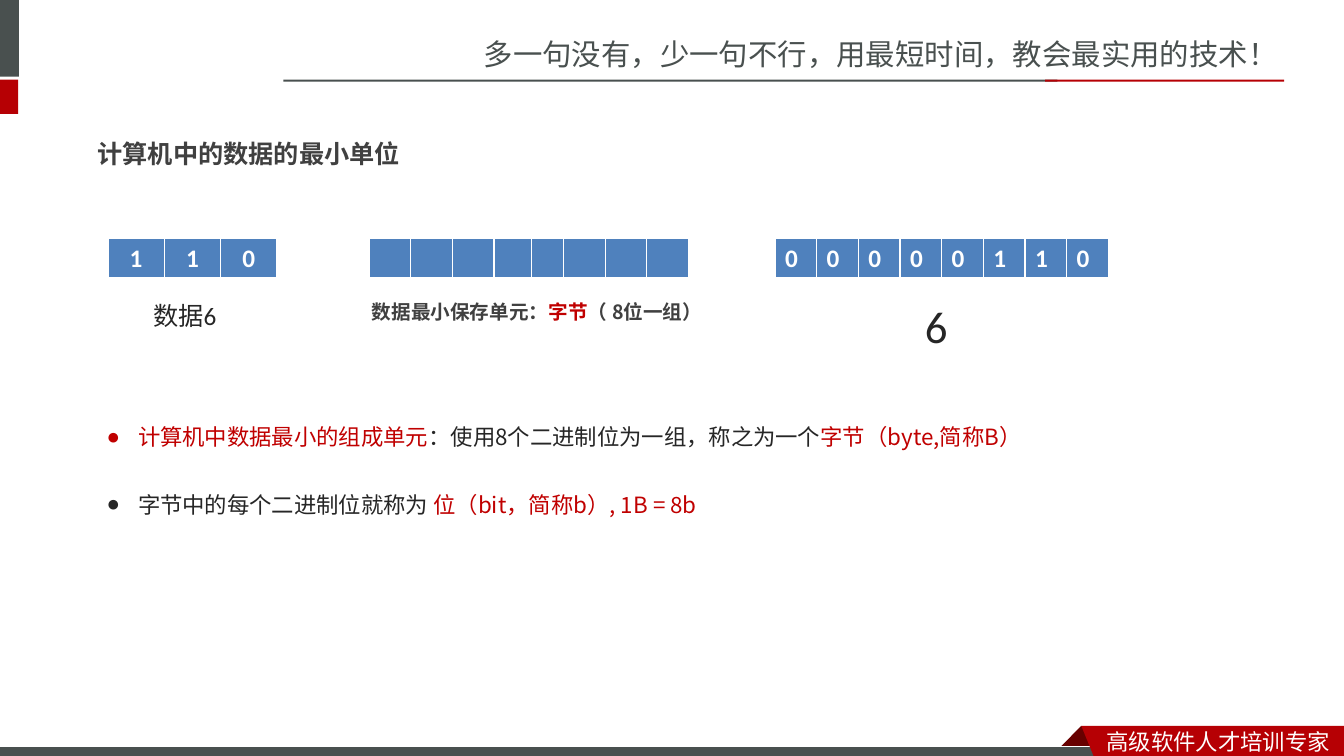
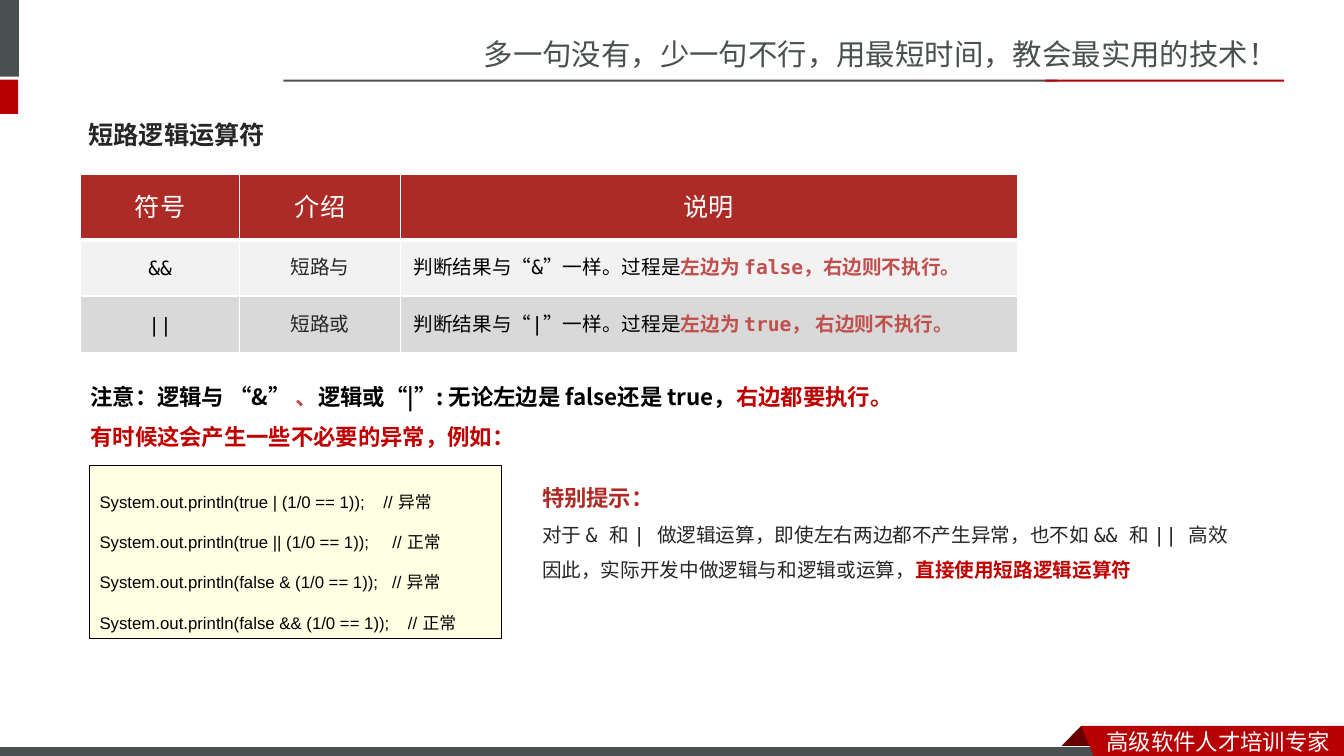
"""Build two Java lesson slides: bits and bytes, and short-circuit operators."""
from dataclasses import dataclass, replace

from lxml.etree import SubElement
from pptx import Presentation
from pptx.dml.color import RGBColor
from pptx.enum.shapes import MSO_SHAPE
from pptx.enum.text import MSO_ANCHOR, PP_ALIGN
from pptx.oxml.ns import qn
from pptx.util import Cm, Pt

SLATE, CRIMSON, MAROON, WHITE, BLACK = "49504F", "B60004", "680000", "FFFFFF", "000000"
RED, BRICK, CORAL, BLUE = "C00000", "AD2B26", "C0504D", "4F81BD"
INK, GREY, PAPER = "262626", "404040", "FFFFE4"
SANS_SC, SANS_JP, MONO = "Noto Sans CJK SC", "Noto Sans CJK JP", "DejaVu Sans Mono"


@dataclass(frozen=True)
class Style:
    """Look of a run of text."""
    size: float
    font: str
    color: str
    bold: bool = False


def rgb(color):
    """Turn a hex string into a colour."""
    return RGBColor.from_string(color)


def add_span(paragraph, text, style):
    """Append one formatted run."""
    run = paragraph.add_run()
    run.text = text
    run.font.size = Pt(style.size)
    run.font.name = style.font
    run.font.bold = style.bold
    run.font.color.rgb = rgb(style.color)
    east_asian = style.font if style.font.startswith("Noto") else SANS_SC
    SubElement(run.font._element, qn("a:ea"), typeface=east_asian)


def add_bullet(paragraph):
    """Give a paragraph a hanging round bullet."""
    properties = paragraph._p.get_or_add_pPr()
    properties.set("marL", str(Cm(0.79)))
    properties.set("indent", str(-Cm(0.79)))
    SubElement(properties, qn("a:buFont"), typeface="Arial")
    SubElement(properties, qn("a:buChar"), char="●")


def write(frame, lines, pitch=1.3, align=PP_ALIGN.LEFT, bullets=False):
    """Fill a frame with lines of (text, style) spans, pitch being a multiple of the size."""
    frame.word_wrap = True
    for index, spans in enumerate(lines):
        paragraph = frame.add_paragraph() if index else frame.paragraphs[0]
        paragraph.alignment = align
        paragraph.line_spacing = Pt(spans[0][1].size * pitch)
        if bullets:
            add_bullet(paragraph)
        for text, style in spans:
            add_span(paragraph, text, style)


def add_text(slide, box, lines, anchor=MSO_ANCHOR.TOP, **layout):
    """Place a text box given in centimetres."""
    frame = slide.shapes.add_textbox(*map(Cm, box)).text_frame
    frame.vertical_anchor = anchor
    write(frame, lines, **layout)


def paint(shape, fill, line=None):
    """Set fill and outline and drop the shadow."""
    shape.shadow.inherit = False
    shape.fill.solid()
    shape.fill.fore_color.rgb = rgb(fill)
    if line:
        shape.line.color.rgb = rgb(line)
        shape.line.width = Pt(0.75)
    else:
        shape.line.fill.background()
    return shape


def add_bar(slide, box, fill, line=None):
    """Place a rectangle given in centimetres."""
    bar = slide.shapes.add_shape(MSO_SHAPE.RECTANGLE, *map(Cm, box))
    return paint(bar, fill, line)


def add_outline(slide, points, fill):
    """Place a closed polygon given in centimetres."""
    start, *rest = [(Cm(x), Cm(y)) for x, y in points]
    builder = slide.shapes.build_freeform(*start, scale=1.0)
    builder.add_line_segments(rest, close=True)
    paint(builder.convert_to_shape(), fill)


def add_grid(slide, left, top, widths, heights):
    """Place an unstyled table and return it."""
    frame = slide.shapes.add_table(len(heights), len(widths), Cm(left), Cm(top),
                                   Cm(sum(widths)), Cm(sum(heights)))
    grid = frame.table
    grid.first_row = grid.horz_banding = False
    for column, width in zip(grid.columns, widths):
        column.width = Cm(width)
    for row, height in zip(grid.rows, heights):
        row.height = Cm(height)
    return grid


def style_cell(cell, fill, top=1, bottom=1):
    """Give a cell white borders and a fill."""
    properties = cell._tc.get_or_add_tcPr()
    for side, width in (("L", 1), ("R", 1), ("T", top), ("B", bottom)):
        border = SubElement(properties, qn(f"a:ln{side}"), w=str(Pt(width)))
        solid = SubElement(border, qn("a:solidFill"))
        SubElement(solid, qn("a:srgbClr"), val=WHITE)
    cell.fill.solid()
    cell.fill.fore_color.rgb = rgb(fill)


def add_bits(slide, left, widths, digits, align=PP_ALIGN.LEFT):
    """Draw a row of bit cells."""
    bit = Style(18, "Calibri", WHITE, True)
    grid = add_grid(slide, left, 6.02, widths, [0.97])
    for cell, digit in zip(grid.rows[0].cells, digits):
        style_cell(cell, BLUE, bottom=3)
        if digit.strip():
            write(cell.text_frame, [[(digit, bit)]], pitch=1.2, align=align)


def add_frame(prs):
    """Add a slide with the shared header and footer."""
    slide = prs.slides.add_slide(prs.slide_layouts[6])
    slogan = Style(21, SANS_SC, SLATE)
    add_text(slide, (11.94, 0.71, 21.92, 1.14),
             [[("多一句没有，少一句不行，用最短时间，教会最实用的技术！", slogan)]])
    add_bar(slide, (0, 0, 0.48, 1.93), SLATE)
    add_bar(slide, (0, 2.01, 0.46, 0.86), CRIMSON)
    add_bar(slide, (7.14, 2.01, 19.51, 0.05), SLATE)
    add_bar(slide, (26.34, 2.01, 6.02, 0.05), CRIMSON)
    add_outline(slide, [(27.25, 18.29), (27.81, 18.85), (27.79, 18.87),
                        (26.72, 18.87), (26.7, 18.85)], MAROON)
    add_bar(slide, (-0.03, 18.82, 27.94, 0.3), SLATE, WHITE)
    add_outline(slide, [(27.25, 18.29), (33.87, 18.29), (33.87, 19.05), (27.56, 19.05)],
                CRIMSON)
    add_text(slide, (27.64, 18.16, 6.22, 0.94),
             [[("高级软件人才培训专家", Style(16, SANS_SC, WHITE))]])
    return slide


def add_heading(slide, text, left, top, width, color):
    """Place the bold slide heading."""
    add_text(slide, (left, top, width, 1.45), [[(text, Style(18, SANS_JP, color, True))]],
             anchor=MSO_ANCHOR.MIDDLE)


def build_byte_slide(prs):
    """Explain bits and bytes."""
    slide = add_frame(prs)
    add_heading(slide, "计算机中的数据的最小单位", 2.21, 3.1, 26.14, GREY)

    add_bits(slide, 2.72, [1.42] * 3, "110", PP_ALIGN.CENTER)
    add_bits(slide, 9.3, [1.05] * 3 + [0.94, 0.81] + [1.05] * 3, " " * 8)
    add_bits(slide, 19.53, [1.05] * 8, "00000110")

    value = Style(18, "Calibri", INK)
    add_text(slide, (3.61, 7.37, 3.91, 1.02), [[("数据6", value)]])
    add_text(slide, (23.06, 7.29, 3.91, 1.63), [[("6", replace(value, size=32))]])
    caption = Style(14, SANS_JP, GREY, True)
    add_text(slide, (9.12, 7.39, 9.7, 0.86),
             [[("数据最小保存单元：", caption), ("字节", replace(caption, color=RED)),
               ("（ 8位一组）", caption)]])

    plain = Style(16, SANS_JP, INK)
    key = replace(plain, color=RED)
    add_text(slide, (2.44, 9.53, 24.16, 3.4),
             [[("计算机中数据最小的组成单元", key),
               ("：使用8个二进制位为一组，称之为一个", plain),
               ("字节（byte,简称B）", key)],
              [("字节中的每个二进制位就称为 ", plain),
               ("位（bit，简称b）, 1B = 8b", key)]], pitch=3, bullets=True)


def add_operator_table(slide):
    """Draw the table of short-circuit operators."""
    grid = add_grid(slide, 2.03, 4.39, [4.01, 4.05, 15.55], [1.65, 1.42, 1.42])
    header = Style(18, "Arial", WHITE)
    symbol = Style(14, MONO, BLACK)
    name = replace(symbol, color=INK)
    rule = replace(symbol, color=CORAL, bold=True)
    rows = [
        [[(text, header)] for text in ("符号", "介绍", "说明")],
        [[("&&", symbol)], [("短路与", name)],
         [("判断结果与“&”一样。过程是", symbol), ("左边为 false，右边则不执行。", rule)]],
        [[("||", symbol)], [("短路或", name)],
         [("判断结果与“|”一样。过程是", symbol), ("左边为 true， 右边则不执行。", rule)]],
    ]
    borders = [(BRICK, 1, 3), ("F2F2F2", 3, 1), ("D9D9D9", 1, 1)]
    for row_index, (row, look) in enumerate(zip(rows, borders)):
        for column, spans in enumerate(row):
            cell = grid.cell(row_index, column)
            style_cell(cell, *look)
            cell.vertical_anchor = MSO_ANCHOR.MIDDLE
            if row_index:
                cell.margin_left = cell.margin_right = Cm(0.33)
                cell.margin_top = cell.margin_bottom = Cm(0.18)
            centred = row_index == 0 or column < 2
            write(cell.text_frame, [spans],
                  align=PP_ALIGN.CENTER if centred else PP_ALIGN.LEFT)


def build_operator_slide(prs):
    """Explain the short-circuit logical operators."""
    slide = add_frame(prs)
    add_heading(slide, "短路逻辑运算符", 1.98, 2.62, 29.87, INK)
    add_operator_table(slide)

    note = Style(16, SANS_JP, BLACK, True)
    warning = replace(note, color=RED)
    add_text(slide, (2.03, 9.19, 29.13, 3.33),
             [[("注意：逻辑与 “&” ", note), ("、", replace(note, color=CORAL)),
               ("逻辑或“|”: 无论左边是 false还是 true，", note), ("右边都要执行。", warning)],
              [("有时候这会产生一些不必要的异常，例如：", warning)]], pitch=1.79)

    code = Style(12, "Arial", BLACK)
    listing = ["System.out.println(true | (1/0 == 1));    // 异常",
               "System.out.println(true || (1/0 == 1));     // 正常",
               "System.out.println(false & (1/0 == 1));   // 异常",
               "System.out.println(false && (1/0 == 1));    // 正常"]
    panel = add_bar(slide, (2.26, 11.73, 10.39, 4.37), PAPER, BLACK)
    panel.text_frame.vertical_anchor = MSO_ANCHOR.MIDDLE
    write(panel.text_frame, [[(line, code)] for line in listing], pitch=2.39)

    tip = Style(14, MONO, INK)
    add_text(slide, (13.41, 11.73, 18.44, 2.97),
             [[("特别提示：", Style(16, MONO, BRICK, True))],
              [("对于 & 和 | 做逻辑运算，即使左右两边都不产生异常，也不如 && 和 || 高效", tip)],
              [("因此，实际开发中做逻辑与和逻辑或运算，", tip),
               ("直接使用短路逻辑运算符", replace(tip, color=RED, bold=True))]], pitch=1.8)


def main():
    """Build and save the presentation."""
    prs = Presentation()
    prs.slide_width, prs.slide_height = Cm(33.87), Cm(19.05)
    build_byte_slide(prs)
    build_operator_slide(prs)
    prs.save("out.pptx")


if __name__ == "__main__":
    main()
